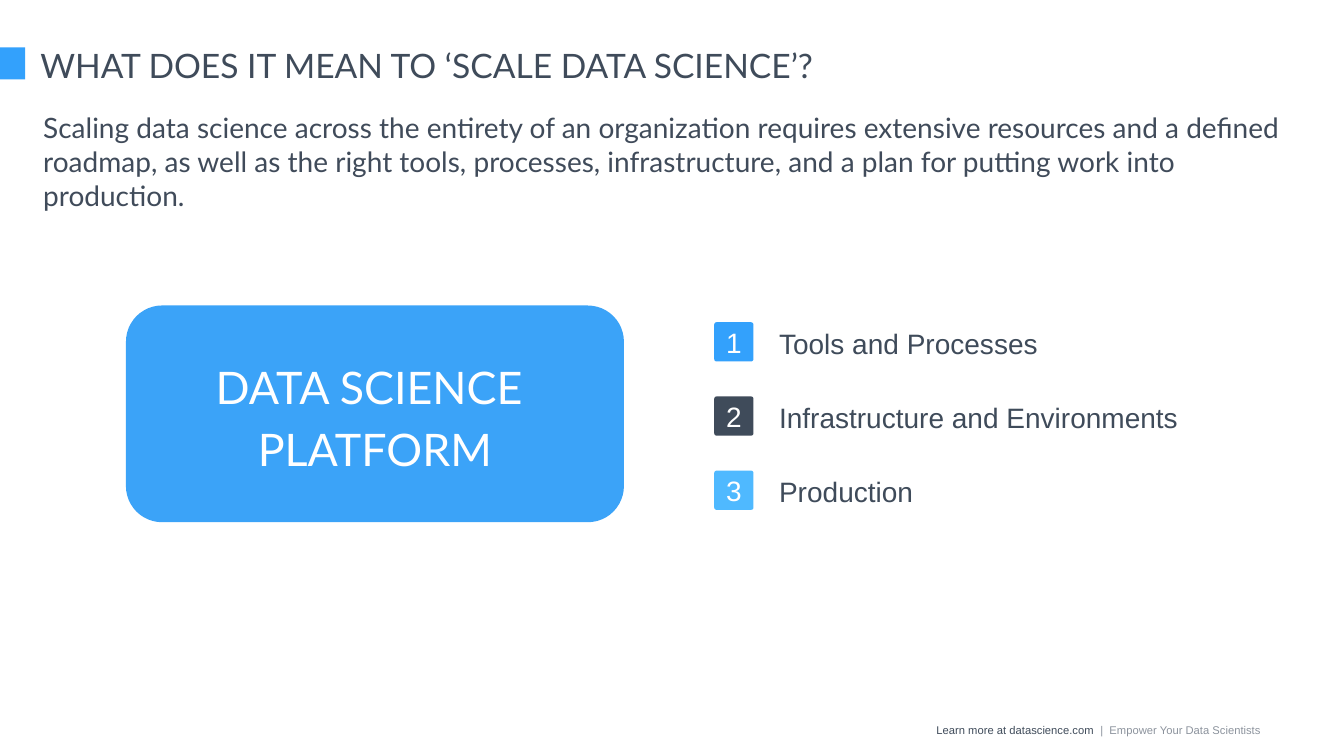
from pptx import Presentation
from pptx.dml.color import RGBColor
from pptx.enum import shapes as sh, text as tx
from pptx.util import Pt

TITLE = "WHAT DOES IT MEAN TO ‘SCALE DATA SCIENCE’?"
INTRO = ("Scaling data science across the entirety of an organization requires "
         "extensive resources and a defined roadmap, as well as the right tools, "
         "processes, infrastructure, and a plan for putting work into production.")
HERO = "DATA SCIENCE \vPLATFORM"
ITEMS = [("Tools and Processes", "blue"),
         ("Infrastructure and Environments", "slate"),
         ("Production", "sky")]
FOOT = [("Learn more at datascience.com", "slate"),
        ("  |  Empower Your Data Scientists", "gray")]
HEX = {"blue": "33A1FC", "slate": "3F4B5A", "sky": "4FB9FF", "hero": "3BA3F8",
       "ink": "404B5A", "gray": "8C939D", "white": "FFFFFF"}
LEFT, MID, RIGHT = tx.PP_ALIGN.LEFT, tx.PP_ALIGN.CENTER, tx.PP_ALIGN.RIGHT
RECT, ROUND = sh.MSO_SHAPE.RECTANGLE, sh.MSO_SHAPE.ROUNDED_RECTANGLE
TOP, CENTER = tx.MSO_ANCHOR.TOP, tx.MSO_ANCHOR.MIDDLE


def rgb(name):
    return RGBColor.from_string(HEX[name])


def block(box, kind, fill, adj=None):
    item = slide.shapes.add_shape(kind, *map(Pt, box))
    item.shadow.inherit = False
    item.fill.solid()
    item.fill.fore_color.rgb = rgb(fill)
    item.line.fill.background()
    if adj:
        item.adjustments[0] = adj
    return item


def write(item, words, face, size, color, align=LEFT, anchor=TOP, pad=(7.2, 3.6, 7.2, 3.6)):
    frame = item.text_frame
    frame.word_wrap = True
    frame.auto_size = tx.MSO_AUTO_SIZE.NONE
    frame.vertical_anchor = anchor
    frame.margin_left, frame.margin_top, frame.margin_right, frame.margin_bottom = map(Pt, pad)
    frame.text = words
    para = frame.paragraphs[0]
    para.alignment = align
    para.font.name, para.font.size = face, Pt(size)
    para.font.color.rgb = rgb(color)
    return para


deck = Presentation()
deck.slide_width, deck.slide_height = Pt(960), Pt(540)
slide = deck.slides.add_slide(deck.slide_layouts[5])

title = slide.shapes.title
title.left, title.top, title.width, title.height = map(Pt, (28.8, 28.8, 902.2, 33.1))
write(title, TITLE, "Lato", 24, "slate", pad=(0, 3.6, 7.2, 3.6))
block((0, 33.8, 18, 23), RECT, "blue")

intro = block((23.8, 72, 912.2, 87.1), RECT, "white")
write(intro, INTRO, "Lato", 20, "ink", pad=(7.2,) * 4)

hero = block((90, 218.2, 355.7, 154.8), ROUND, "hero", 0.167)
write(hero, HERO, "Lato", 32, "white", MID, CENTER, (7.2,) * 4).line_spacing = 1.15

for i, (label, color) in enumerate(ITEMS):
    y = 230.2 + 53 * i
    tile = block((510.2, y, 28, 28), ROUND, color, 0.058)
    write(tile, str(i + 1), "Arial", 20, "white", MID, CENTER)
    note = slide.shapes.add_textbox(*map(Pt, (549.4, y - 0.6, 316.8, 31.7)))
    write(note, label, "Arial", 20, "slate")

foot = slide.shapes.add_textbox(*map(Pt, (581, 512.6, 319.7, 17.3)))
para = write(foot, "", "Arial", 8, "slate", RIGHT, CENTER, (0, 3.6, 0, 3.6))
for words, color in FOOT:
    run = para.add_run()
    run.text = words
    run.font.color.rgb = rgb(color)
    run.font.name, run.font.size = "Arial", Pt(8)

deck.save("out.pptx")
